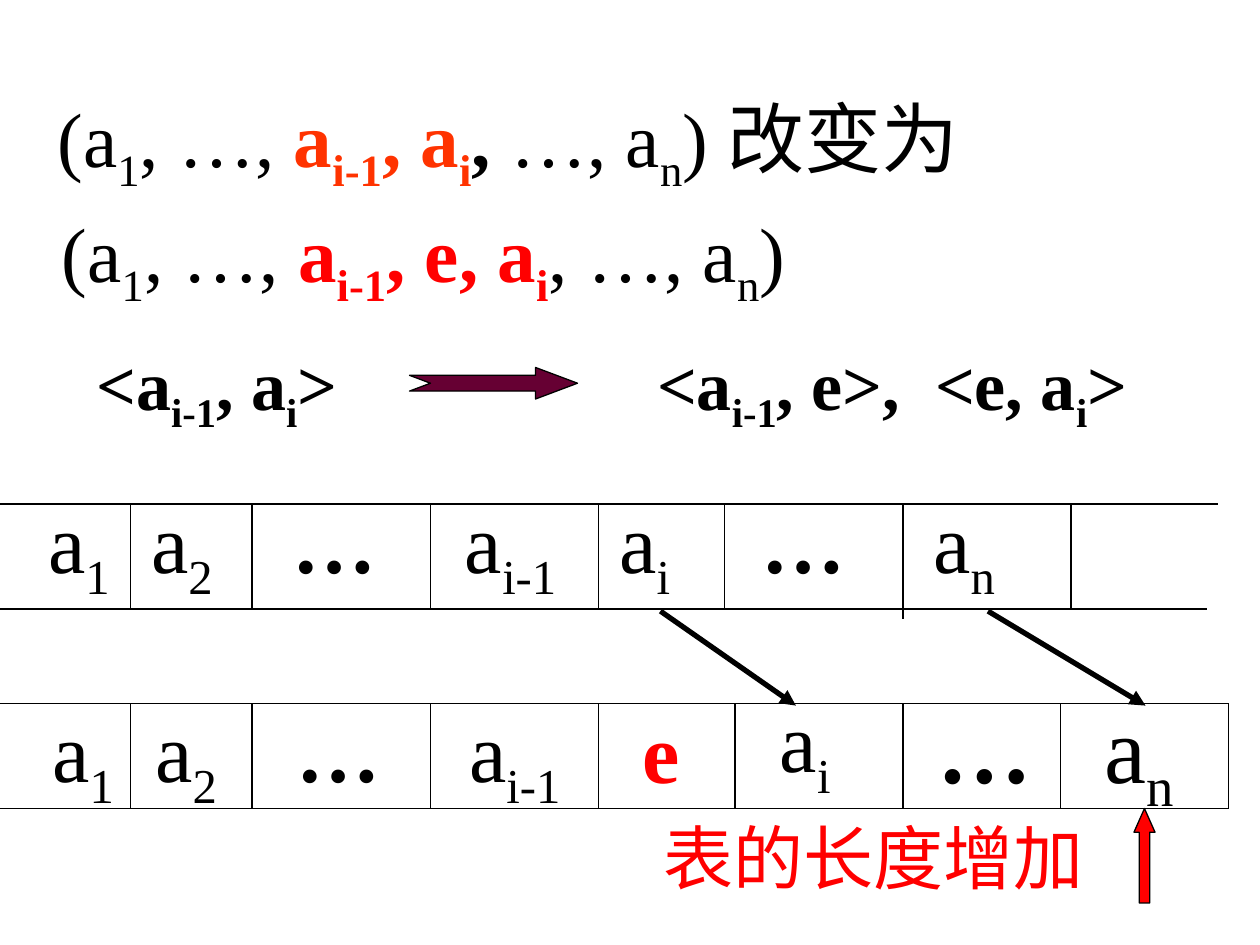
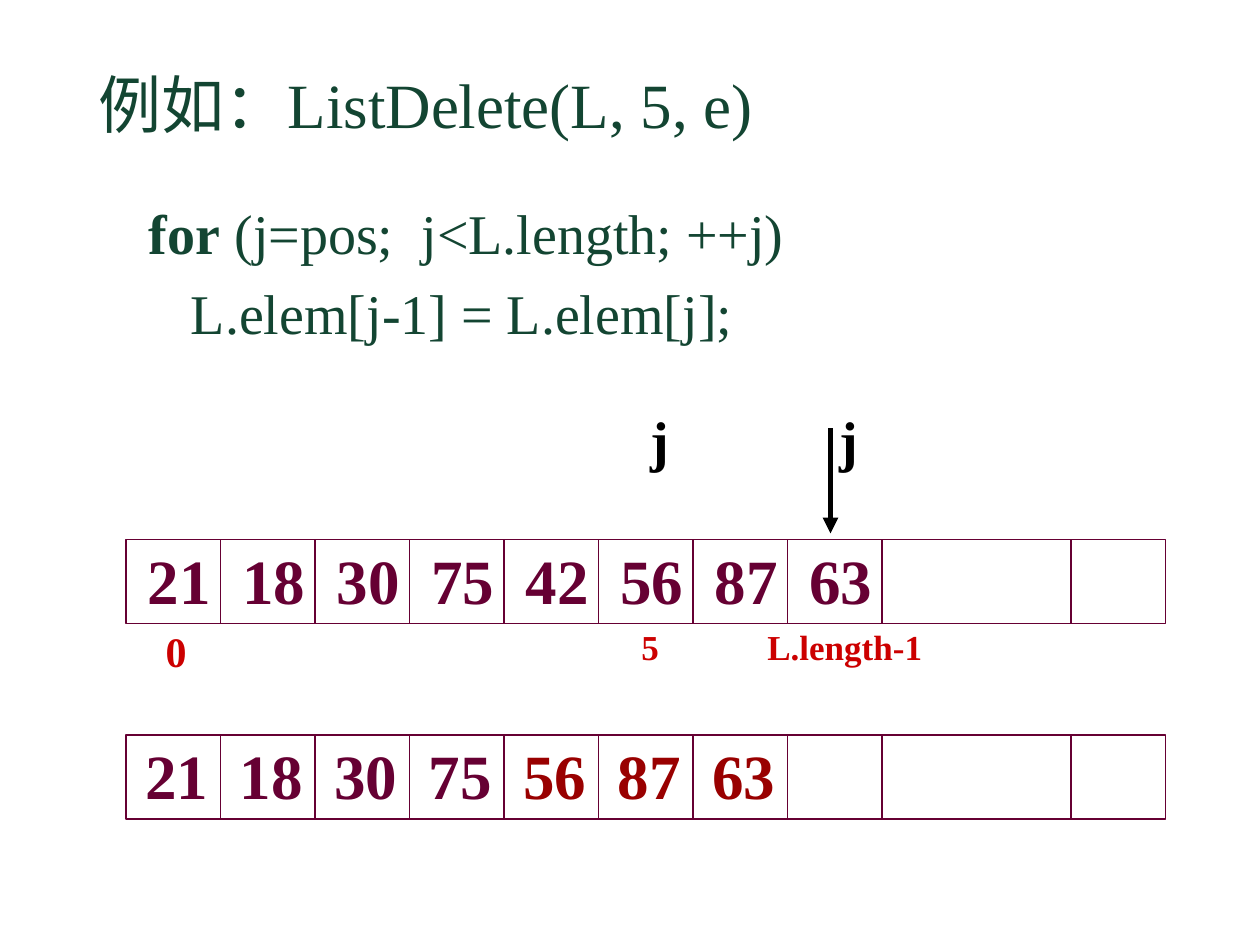
from typing import NamedTuple

from lxml.etree import SubElement
from pptx import Presentation
from pptx.dml.color import RGBColor
from pptx.enum.shapes import MSO_CONNECTOR, MSO_SHAPE
from pptx.enum.text import MSO_ANCHOR, MSO_AUTO_SIZE, PP_ALIGN
from pptx.oxml.ns import qn
from pptx.presentation import Presentation as Deck
from pptx.shapes.base import BaseShape
from pptx.slide import Slide
from pptx.util import Emu, Inches, Pt

SLIDE_WIDTH, SLIDE_HEIGHT = Inches(10), Inches(7.5)
GRID_COLUMNS, GRID_ROWS = 120, 90

BLACK = RGBColor(0x00, 0x00, 0x00)
RED = RGBColor(0xFF, 0x00, 0x00)
ORANGE = RGBColor(0xFF, 0x33, 0x00)
PLUM = RGBColor(0x66, 0x00, 0x33)
INDEX_RED = RGBColor(0xCC, 0x00, 0x00)
MOVED_RED = RGBColor(0x99, 0x00, 0x00)
GREEN = RGBColor(0x13, 0x45, 0x32)

FONT = "Times New Roman"
SUBSCRIPT = "-25000"
THIN, THICK = 0.75, 3
LINE_SPACING = 1.2


class Span(NamedTuple):
    """Text in one style; parts in braces are subscripts."""
    text: str
    color: RGBColor = BLACK
    bold: bool = False


class Label(NamedTuple):
    left: float
    top: float
    width: float
    height: float
    size: float
    paragraphs: list[list[Span]]
    line_spacing: float = 1.0


class Line(NamedTuple):
    x1: float
    y1: float
    x2: float
    y2: float
    color: RGBColor = BLACK
    weight: float = THIN
    arrow: bool = False


class Arrow(NamedTuple):
    kind: MSO_SHAPE
    left: float
    top: float
    width: float
    height: float
    fill: RGBColor
    adjustments: tuple[float, float]


def across(columns: float) -> Emu:
    return Emu(round(SLIDE_WIDTH * columns / GRID_COLUMNS))


def down(rows: float) -> Emu:
    return Emu(round(SLIDE_HEIGHT * rows / GRID_ROWS))


def box(left: float, top: float, width: float, height: float) -> tuple[Emu, ...]:
    return across(left), down(top), across(width), down(height)


def single(left: float, top: float, width: float, height: float, size: float,
           text: str, color: RGBColor = BLACK, bold: bool = False) -> Label:
    """Label of one paragraph in one style."""
    return Label(left, top, width, height, size, [[Span(text, color, bold)]])


def fill_text(shape: BaseShape, label: Label) -> None:
    frame = shape.text_frame
    frame_format = {"word_wrap": True, "auto_size": MSO_AUTO_SIZE.NONE,
                    "vertical_anchor": MSO_ANCHOR.TOP}
    for name, value in frame_format.items():
        setattr(frame, name, value)
    for number, spans in enumerate(label.paragraphs):
        paragraph = frame.add_paragraph() if number else frame.paragraphs[0]
        paragraph.alignment = PP_ALIGN.LEFT
        paragraph.line_spacing = label.line_spacing
        for span in spans:
            for index, part in enumerate(span.text.replace("}", "{").split("{")):
                if not part:
                    continue
                run = paragraph.add_run()
                run.text = part
                run_format = {"name": FONT, "size": Pt(label.size), "bold": span.bold}
                for name, value in run_format.items():
                    setattr(run.font, name, value)
                run.font.color.rgb = span.color
                if index % 2:
                    run._r.get_or_add_rPr().set("baseline", SUBSCRIPT)


def add_label(slide: Slide, label: Label) -> None:
    fill_text(slide.shapes.add_textbox(*box(*label[:4])), label)


def add_line(slide: Slide, line: Line) -> None:
    connector = slide.shapes.add_connector(
        MSO_CONNECTOR.STRAIGHT,
        across(line.x1), down(line.y1), across(line.x2), down(line.y2))
    connector.line.color.rgb = line.color
    connector.line.width = Pt(line.weight)
    if line.arrow:
        SubElement(connector.line._get_or_add_ln(), qn("a:tailEnd"), type="triangle")
    SubElement(connector._element.spPr, qn("a:effectLst"))


def add_arrow(slide: Slide, arrow: Arrow) -> None:
    shape = slide.shapes.add_shape(arrow.kind, *box(*arrow[1:5]))
    shape.shadow.inherit = False
    for index, value in enumerate(arrow.adjustments):
        shape.adjustments[index] = value
    shape.fill.solid()
    shape.fill.fore_color.rgb = arrow.fill
    shape.line.color.rgb = BLACK
    shape.line.width = Pt(THIN)


def add_dividers(slide: Slide, edges: list[float], top: float, height: float,
                 color: RGBColor) -> None:
    for edge in edges:
        add_line(slide, Line(edge, top, edge, top + height, color))


def build_insert_slide(presentation: Deck) -> None:
    slide = presentation.slides.add_slide(presentation.slide_layouts[6])
    before_top, after_top, row_height = 48, 67, 10

    add_dividers(slide, [12.4, 24, 41, 57, 69, 102], before_top, row_height, BLACK)
    add_dividers(slide, [86], before_top, row_height + 1, BLACK)
    add_dividers(slide, [12.4, 24, 41, 57, 70, 86, 101, 117],
                 after_top, row_height, BLACK)
    for row, right in ((before_top, 116), (before_top + row_height, 115),
                       (after_top, 117), (after_top + row_height, 117)):
        add_line(slide, Line(0, row, right, row))

    start = [(3.4, "a{1}"), (13.2, "a{2}"), (26.7, "…"), (43.1, "a{i-1}")]
    before = start + [(57.8, "a{i}"), (71.3, "…"), (87.7, "a{n}")]
    after = [(left + 0.4, text) for left, text in start]
    for top, cells in ((46, before), (65.9, after)):
        for left, text in cells:
            add_label(slide, single(left, top, 16, 12, 48, text, bold=text == "…"))

    labels = [
        Label(4.3, 8, 90, 11.3, 44, [[
            Span("(a{1}, …, "), Span("a{i-1}, a{i}, "[:-2].replace(", a{i},", ", a{i}"), ORANGE, True),
            Span(", ", bold=True), Span("…, a{n}) 改变为")]]),
        Label(4.7, 19, 80, 11.3, 44, [[
            Span("(a{1}, …, "), Span("a{i-1}, e, a{i}", RED, True),
            Span(", …, a{n})")]]),
        single(8, 31.8, 30, 10.3, 40, "<a{i-1}, a{i}>", bold=True),
        single(61.4, 31.8, 54, 10.3, 40, "<a{i-1}, e>,  <e, a{i}>", bold=True),
        single(60, 66, 9, 10.8, 48, "e", RED, True),
        single(73.1, 65, 12, 12, 48, "a{i}"),
        single(88.1, 65, 13, 12, 54, "…", bold=True),
        single(104, 65, 13, 13.6, 54, "a{n}"),
        single(62, 77, 44, 9.2, 40, "表的长度增加", RED),
    ]
    for label in labels:
        add_label(slide, label)

    for start_x, end_x in ((62.9, 75.8), (94.1, 109.1)):
        add_line(slide, Line(start_x, 58.2, end_x, 67.2, BLACK, THICK, True))
    add_arrow(slide, Arrow(MSO_SHAPE.NOTCHED_RIGHT_ARROW, 39, 35, 16, 3,
                           PLUM, (0.5, 1.33)))
    add_arrow(slide, Arrow(MSO_SHAPE.UP_ARROW, 108, 77, 2, 9, RED, (0.5, 1.13)))


def build_delete_slide(presentation: Deck) -> None:
    slide = presentation.slides.add_slide(presentation.slide_layouts[5])
    title = single(8.2, 5.6, 90, 8.4, 36, "例如：ListDelete(L, 5, e)", GREEN)
    placeholder = slide.shapes.title
    for name, value in zip(("left", "top", "width", "height"), box(*title[:4])):
        setattr(placeholder, name, value)
    fill_text(placeholder, title)

    add_label(slide, Label(13, 17, 90, 16, 32, [
        [Span("for", GREEN, True), Span(" (j=pos;  j<L.length; ++j)", GREEN)],
        [Span("   L.elem[j-1] = L.elem[j];", GREEN)],
    ], LINE_SPACING))

    left, cell_width, row_height = 12, 9, 8
    edges = [left + cell_width * number for number in range(1, 9)] + [102]
    rows = [
        (51.4, 51, 0.9, "21 18 30 75 42 56 87 63", 8),
        (70, 69.6, 0.65, "21 18 30 75 56 87 63", 4),
    ]
    for top, text_top, indent, values, unmoved in rows:
        frame = slide.shapes.add_shape(MSO_SHAPE.RECTANGLE,
                                       *box(left, top, 99, row_height))
        frame.shadow.inherit = False
        frame.fill.background()
        frame.line.color.rgb = PLUM
        frame.line.width = Pt(THIN)
        add_dividers(slide, edges, top, row_height, PLUM)
        for number, value in enumerate(values.split()):
            color = PLUM if number < unmoved else MOVED_RED
            add_label(slide, single(left + indent + cell_width * number, text_top,
                                    cell_width, 8.4, 36, value, color, True))

    for column, size, text in ((14.6, 24, "0"), (59.9, 20, "5"),
                               (71.9, 20, "L.length-1")):
        add_label(slide, single(column, 59, 20, 6, size, text, INDEX_RED, True))
    for column in (60.8, 78.8):
        add_label(slide, single(column, 38, 6, 7.7, 32, "j", bold=True))
    add_line(slide, Line(79.1, 40.8, 79.1, 50.8, BLACK, THICK, True))


def main() -> None:
    presentation = Presentation()
    presentation.slide_width = SLIDE_WIDTH
    presentation.slide_height = SLIDE_HEIGHT
    build_insert_slide(presentation)
    build_delete_slide(presentation)
    presentation.save("out.pptx")


if __name__ == "__main__":
    main()
